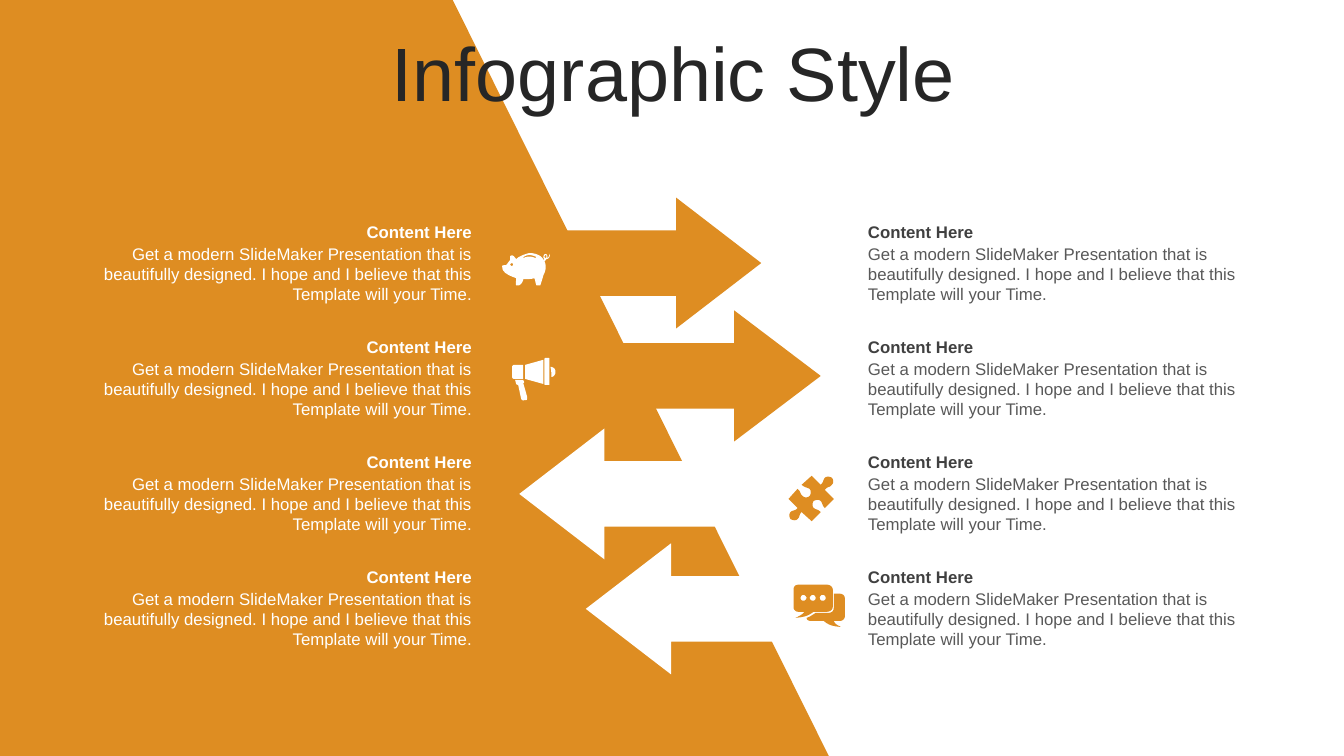
from pptx import Presentation
from pptx.dml.color import RGBColor
from pptx.enum.shapes import MSO_SHAPE as Preset
from pptx.enum.text import MSO_ANCHOR as Anchor, MSO_AUTO_SIZE as AutoSize, PP_ALIGN as Align
from pptx.util import Inches, Pt

ORANGE = RGBColor(0xDE, 0x8D, 0x22)
WHITE = RGBColor(0xFF, 0xFF, 0xFF)
TITLE_INK = RGBColor(0x26, 0x26, 0x26)
HEADING_INK = RGBColor(0x40, 0x40, 0x40)
BODY_INK = RGBColor(0x59, 0x59, 0x59)

HEADING = "Content Here"
BODY = ("Get a modern SlideMaker Presentation that is beautifully designed. "
        "I hope and I believe that this Template will your Time.")
ROWS = 4
FIRST_ROW, ROW_STEP = 2.15, 1.14
CURVE_STEPS = 5

# Contours in hundredths of an inch: L starts lines, C starts cubic curves
BACKDROP = ["449,0 822,750 0,750 0,0"]
PUZZLE = [
    """825,474 C 827,476 827,479 825,481 823,484 821,482 818,486 L 827,495 818,504
    C 815,501 816,499 814,497 812,495 809,496 807,497 806,498 805,502 807,504
    810,506 811,505 814,508 L 805,517 795,508 C 792,511 794,512 791,515
    789,517 786,516 784,515 783,513 782,511 784,508 786,506 789,507 791,504
    L 782,495 791,485 C 795,488 793,490 796,492 798,494 801,494 803,492
    804,491 805,487 803,485 799,483 799,484 795,481 L 805,472 814,481
    C 817,478 816,477 818,474 820,472 824,473 825,474"""]
CHAT = [
    "816,590 C 814,590 813,592 813,593 813,595 814,596 816,596 "
    "818,596 819,595 819,593 819,592 818,590 816,590",
    "806,590 C 805,590 803,592 803,593 803,595 805,596 806,596 "
    "808,596 809,595 809,593 809,592 808,590 806,590",
    "797,590 C 795,590 794,592 794,593 794,595 795,596 797,596 "
    "798,596 800,595 800,593 800,592 798,590 797,590",
    """827,589 L 833,589 C 836,589 838,591 838,594 L 838,611 C 838,614 836,616 833,616
    L 827,616 C 828,618 828,619 834,622 824,621 822,620 817,616 L 804,616
    C 802,616 800,615 800,613 803,612 806,610 809,608 L 822,608
    C 825,608 827,606 827,603 L 827,589""",
    """792,580 L 820,580 C 823,580 826,582 826,585 L 826,602 C 826,605 823,607 820,607
    L 807,607 C 801,611 799,612 789,613 795,610 795,610 798,607 L 792,607
    C 789,607 787,605 787,602 L 787,585 C 787,582 789,580 792,580"""]
MEGAPHONE = [
    """519,377 L 520,379 C 520,379 520,380 519,380 L 523,394
    C 523,395 523,397 522,397 L 520,397 C 519,398 518,397 517,396 L 514,382
    C 513,382 512,381 512,381 L 511,377""",
    "546,364 C 549,364 551,366 551,369 551,372 549,374 547,374 547,371 547,368 546,364",
    """510,362 L 519,362 519,376 510,376 C 509,376 508,375 508,374 L 508,364
    C 508,363 509,362 510,362""",
    "539,357 539,381 521,376 521,362",
    """541,355 L 544,355 C 545,355 545,356 545,356 L 545,381 C 545,382 545,382 544,382
    L 541,382 C 541,382 540,382 540,381 L 540,356 C 540,356 541,355 541,355"""]
PIGGY_BANK = [
    "508,261 C 507,261 506,262 506,262 506,263 507,264 508,264 "
    "508,264 509,263 509,262 509,262 508,261 508,261",
    "541,253 C 541,253 540,254 540,255 540,255 541,256 541,256 "
    "542,256 542,255 542,255 542,254 542,253 541,253",
    """525,253 C 523,253 521,254 519,255 L 519,256 C 523,254 527,254 531,256
    L 532,255 C 530,254 527,253 525,253""",
    """525,251 C 530,251 536,253 538,256 L 539,258 C 540,257 540,257 540,257
    539,256 539,256 539,255 539,253 540,252 541,252 542,252 543,253 543,255
    543,255 543,255 543,256 544,255 544,256 545,252 546,255 544,257 542,257
    541,258 541,259 540,259 540,259 540,259 540,259 L 541,262
    C 542,267 540,271 539,273 538,277 537,279 536,283 536,283 532,283 532,283
    531,281 531,278 530,276 527,277 522,277 519,277 519,279 517,282 515,283
    L 512,283 C 511,283 512,278 512,276 507,274 497,271 498,264
    498,263 501,263 502,263 504,261 504,260 506,258 506,257 506,254 506,254
    509,252 510,255 512,257 515,254 521,252 525,251"""]


def paint(shape, color):
    shape.shadow.inherit = False
    shape.fill.solid()
    shape.fill.fore_color.rgb = color
    shape.line.fill.background()


def curve_points(start, first, second, end):
    """Points along a cubic curve, without its start."""
    for step in range(1, CURVE_STEPS + 1):
        t = step / CURVE_STEPS
        u = 1 - t
        yield tuple(u**3 * a + 3 * u * u * t * b + 3 * u * t * t * c + t**3 * d
                    for a, b, c, d in zip(start, first, second, end))


def contour_points(contour):
    points, pending, mode = [], [], "L"
    for token in contour.split():
        if token.isalpha():
            mode = token
            continue
        pending.append(tuple(int(number) for number in token.split(",")))
        if mode == "L":
            points.append(pending.pop())
        elif len(pending) == 3:
            points.extend(curve_points(points[-1], *pending))
            pending = []
    return [(Inches(x / 100), Inches(y / 100)) for x, y in points]


def add_outline(page, outline, color):
    contours = [contour_points(contour) for contour in outline]
    builder = page.shapes.build_freeform(*contours[0][0])
    for index, points in enumerate(contours):
        if index:
            builder.move_to(*points[0])
        builder.add_line_segments(points[1:], close=True)
    paint(builder.convert_to_shape(), color)


def add_arrow(page, left, top, head, color, rotation=0):
    arrow = page.shapes.add_shape(Preset.RIGHT_ARROW, Inches(left), Inches(top),
                                  Inches(1.99), Inches(1.3))
    arrow.adjustments[0] = 0.5
    arrow.adjustments[1] = head
    arrow.rotation = rotation
    paint(arrow, color)


def add_span(para, text, size, color, bold=False):
    span = para.add_run()
    span.text = text
    span.font.name = "Arial"
    span.font.size = Pt(size)
    span.font.bold = bold
    span.font.color.rgb = color


def add_text(group, place, text, color, align, anchor, bold=False):
    box = group.shapes.add_textbox(*(Inches(length) for length in place))
    frame = box.text_frame
    frame.word_wrap = True
    frame.auto_size = AutoSize.SHAPE_TO_FIT_TEXT
    frame.vertical_anchor = anchor
    para = frame.paragraphs[0]
    para.alignment = align
    add_span(para, text, 12, color, bold)


def add_column(page, left, width, align, heading_color, body_color):
    for row in range(ROWS):
        top = FIRST_ROW + row * ROW_STEP
        group = page.shapes.add_group_shape()
        add_text(group, (left, top, width, 0.3), HEADING, heading_color,
                 align, Anchor.MIDDLE, bold=True)
        add_text(group, (left, top + 0.22, width, 0.71), BODY, body_color,
                 align, Anchor.TOP)


def set_title(page, text):
    title = page.shapes.title
    title.left, title.top = Inches(0.35), Inches(0.37)
    title.width, title.height = Inches(12.66), Inches(0.79)
    # Bring the title in front of the backdrop
    title.element.getparent().append(title.element)
    frame = title.text_frame
    frame.word_wrap = True
    frame.auto_size = AutoSize.NONE
    frame.vertical_anchor = Anchor.MIDDLE
    para = frame.paragraphs[0]
    para.alignment = Align.CENTER
    para.line_spacing = 0.9
    add_span(para, text, 54, TITLE_INK)


def main():
    deck = Presentation()
    deck.slide_width, deck.slide_height = Inches(13.33), Inches(7.5)
    page = deck.slides.add_slide(deck.slide_layouts[5])

    # Backdrop and title
    add_outline(page, BACKDROP, ORANGE)
    set_title(page, "Infographic Style")

    # Arrows crossing the slanted edge
    add_arrow(page, 5.15, 4.25, 0.65, WHITE, rotation=180)
    add_arrow(page, 5.81, 5.39, 0.65, WHITE, rotation=180)
    add_arrow(page, 6.15, 3.08, 0.66, ORANGE)
    add_arrow(page, 5.56, 1.96, 0.65, ORANGE)

    # Text columns
    add_column(page, 8.51, 3.91, Align.LEFT, HEADING_INK, BODY_INK)
    add_column(page, 0.82, 3.96, Align.RIGHT, WHITE, WHITE)

    # Icons
    for outline, color in ((PUZZLE, ORANGE), (CHAT, ORANGE),
                           (MEGAPHONE, WHITE), (PIGGY_BANK, WHITE)):
        add_outline(page, outline, color)

    deck.save("out.pptx")


if __name__ == "__main__":
    main()
